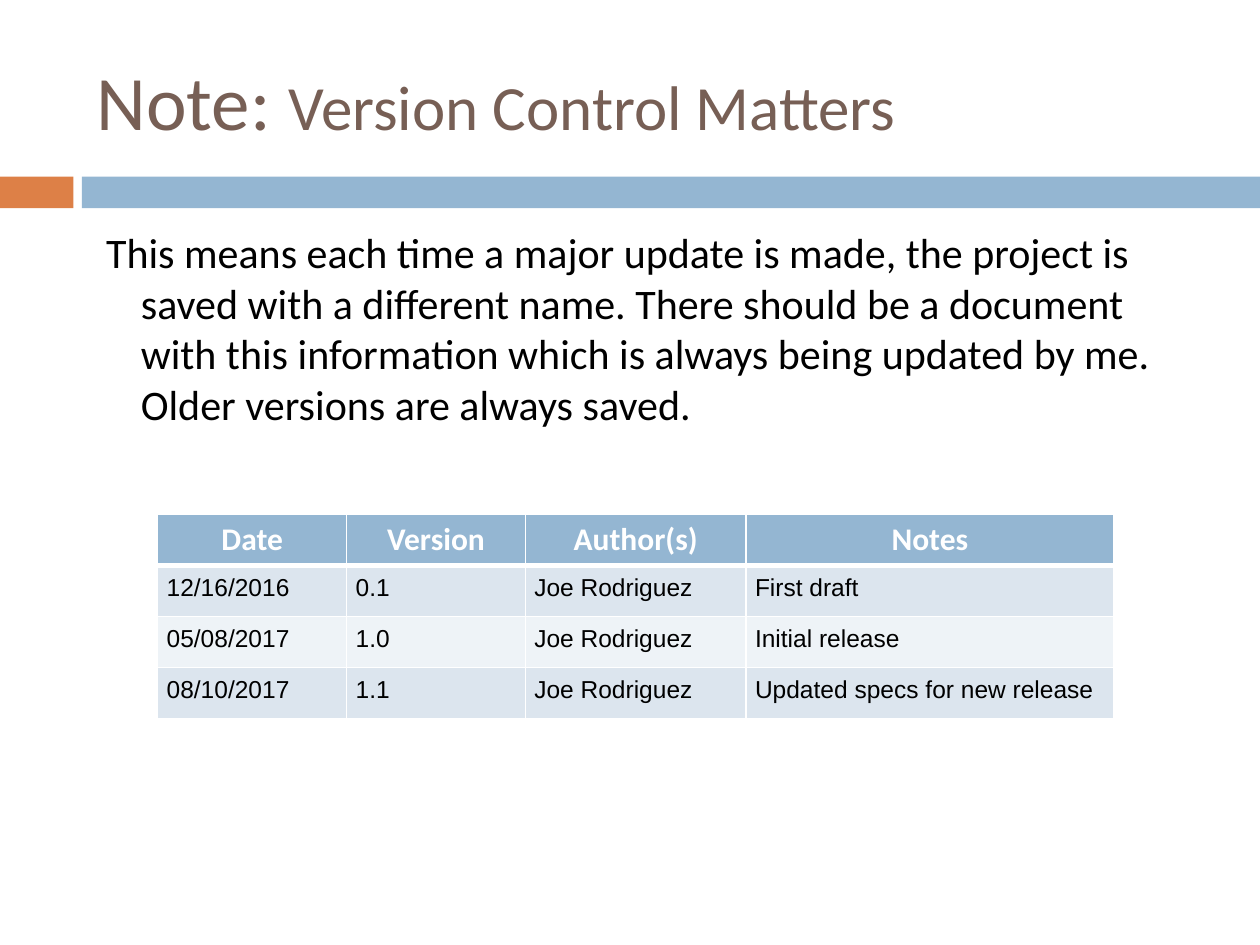
from dataclasses import dataclass

from lxml.etree import SubElement
from pptx import Presentation
from pptx.dml.color import RGBColor
from pptx.enum.shapes import MSO_SHAPE as Shape
from pptx.enum.text import MSO_ANCHOR as Anchor, PP_ALIGN as Align
from pptx.oxml.ns import qn
from pptx.util import Cm, Pt


@dataclass(frozen=True)
class Theme:
    heading_font: str = "Calibri"
    table_font: str = "Arial"
    title: str = "775F55"
    text: str = "000000"
    white: str = "FFFFFF"
    orange: str = "DD8047"
    blue: str = "94B6D2"
    bands: tuple = ("DCE5EE", "EEF3F7")
    title_size: int = 44
    subtitle_size: int = 36
    body_size: int = 24
    header_size: int = 18
    cell_size: int = 14
    thin_line: int = 1
    thick_line: int = 3


THEME = Theme()

TITLE = (("Note: ", THEME.title_size), ("Version Control Matters", THEME.subtitle_size))
BODY = (
    "This means each time a major update is made, the project is saved with a "
    "different name. There should be a document with this information which is "
    "always being updated by me. Older versions are always saved."
)
VERSIONS = [
    ("Date", "Version", "Author(s)", "Notes"),
    ("12/16/2016", "0.1", "Joe Rodriguez", "First draft"),
    ("05/08/2017", "1.0", "Joe Rodriguez", "Initial release"),
    ("08/10/2017", "1.1", "Joe Rodriguez", "Updated specs for new release"),
]

# Lengths in centimetres
SLIDE_WIDTH, SLIDE_HEIGHT = 25.4, 19.05
BAND_TOP, BAND_HEIGHT = 3.56, 0.64
ACCENT_WIDTH, BAND_LEFT = 1.48, 1.65
TEXT_LEFT, TEXT_WIDTH = 1.7, 22.66
COLUMN_WIDTHS = (3.81, 3.6, 4.45, 7.41)
TABLE_LEFT, TABLE_TOP, ROW_HEIGHT = 3.18, 10.37, 1.03
CELL_MARGIN = 0.18


def add_span(para, text, *, size, color, font=THEME.heading_font, bold=False):
    span = para.add_run()
    span.text = text
    span.font.name = font
    span.font.size = Pt(size)
    span.font.bold = bold
    span.font.color.rgb = RGBColor.from_string(color)


def add_band(page, left, width, color):
    band = page.shapes.add_shape(
        Shape.RECTANGLE, Cm(left), Cm(BAND_TOP), Cm(width), Cm(BAND_HEIGHT))
    band.shadow.inherit = False
    band.fill.solid()
    band.fill.fore_color.rgb = RGBColor.from_string(color)
    band.line.fill.background()


def add_text_box(page, top, height, anchor):
    """Add a wrapping box in the text column and return its first paragraph."""
    box = page.shapes.add_textbox(Cm(TEXT_LEFT), Cm(top), Cm(TEXT_WIDTH), Cm(height))
    box.text_frame.word_wrap = True
    box.text_frame.vertical_anchor = anchor
    return box.text_frame.paragraphs[0]


def set_borders(cell, **widths):
    """Draw white borders; widths maps the sides L, R, T and B to points."""
    properties = cell._tc.get_or_add_tcPr()
    for side in "LRTB":
        width = widths.get(side, THEME.thin_line)
        line = SubElement(properties, qn(f"a:ln{side}"), w=str(Pt(width)))
        fill = SubElement(line, qn("a:solidFill"))
        SubElement(fill, qn("a:srgbClr"), val=THEME.white)


def format_cell(cell, text, row):
    para = cell.text_frame.paragraphs[0]
    if row == 0:
        set_borders(cell, B=THEME.thick_line)
        color = THEME.blue
        para.alignment = Align.CENTER
        add_span(para, text, size=THEME.header_size, color=THEME.white, bold=True)
    else:
        set_borders(cell, T=THEME.thick_line if row == 1 else THEME.thin_line)
        color = THEME.bands[(row - 1) % 2]
        cell.margin_left = cell.margin_right = Cm(CELL_MARGIN)
        cell.margin_top = cell.margin_bottom = Cm(CELL_MARGIN)
        add_span(para, text, size=THEME.cell_size, color=THEME.text,
                 font=THEME.table_font)
    cell.fill.solid()
    cell.fill.fore_color.rgb = RGBColor.from_string(color)


def add_version_table(page):
    table = page.shapes.add_table(
        len(VERSIONS), len(COLUMN_WIDTHS), Cm(TABLE_LEFT), Cm(TABLE_TOP),
        Cm(sum(COLUMN_WIDTHS)), Cm(ROW_HEIGHT * len(VERSIONS))).table
    for column, width in zip(table.columns, COLUMN_WIDTHS):
        column.width = Cm(width)
    for row, texts in enumerate(VERSIONS):
        table.rows[row].height = Cm(ROW_HEIGHT)
        for column, text in enumerate(texts):
            format_cell(table.cell(row, column), text, row)


def main():
    deck = Presentation()
    deck.slide_width, deck.slide_height = Cm(SLIDE_WIDTH), Cm(SLIDE_HEIGHT)
    page = deck.slides.add_slide(deck.slide_layouts[6])

    add_band(page, 0, ACCENT_WIDTH, THEME.orange)
    add_band(page, BAND_LEFT, SLIDE_WIDTH - BAND_LEFT, THEME.blue)

    title = add_text_box(page, 0.64, 2.74, Anchor.MIDDLE)
    for text, size in TITLE:
        add_span(title, text, size=size, color=THEME.title)

    body = add_text_box(page, 4.45, 14.17, Anchor.TOP)
    body.space_before = Pt(7)
    indent = body._p.get_or_add_pPr()
    indent.set("marL", str(Cm(0.89)))
    indent.set("indent", str(Cm(-0.7)))
    add_span(body, BODY, size=THEME.body_size, color=THEME.text)

    add_version_table(page)
    deck.save("out.pptx")


if __name__ == "__main__":
    main()
